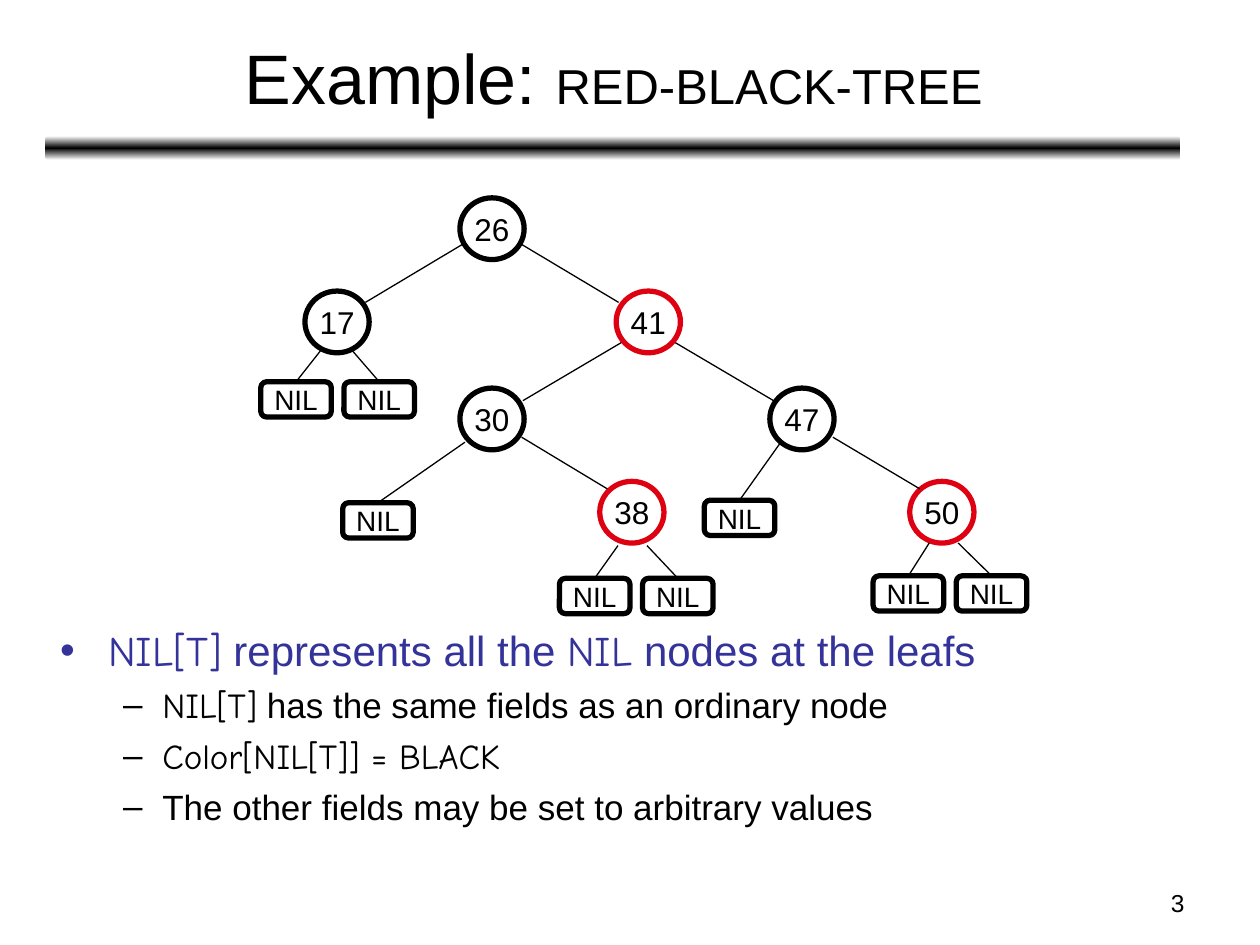
import copy
from dataclasses import dataclass

import lxml.etree
import pptx
import pptx.dml.color
import pptx.enum.shapes
import pptx.enum.text
import pptx.oxml.ns
import pptx.util

Inches, Pt = pptx.util.Inches, pptx.util.Pt
RGBColor = pptx.dml.color.RGBColor
SHAPE = pptx.enum.shapes.MSO_SHAPE
ALIGN = pptx.enum.text.PP_ALIGN
MIDDLE = pptx.enum.text.MSO_ANCHOR.MIDDLE
qn = pptx.oxml.ns.qn

BLACK = RGBColor(0x00, 0x00, 0x00)
WHITE = RGBColor(0xFF, 0xFF, 0xFF)
RED = RGBColor(0xDD, 0x01, 0x11)
BLUE = RGBColor(0x33, 0x33, 0x99)
SANS, COMIC = "Arial", "Comic Neue"

KEY_SIZE = (0.51, 0.49)
NIL_SIZE = (0.56, 0.28)
NIL_STEP = 0.66  # from one twin leaf to the next
TOP_SIDE = 0


@dataclass
class KeyNode:
    key: str
    left: float
    top: float
    color: RGBColor = BLACK


@dataclass
class NilLeaf:
    left: float
    top: float
    edge_start: tuple[float, float]


@dataclass
class Point:
    level: int
    color: RGBColor
    size: int
    runs: list[tuple[str, str]]


@dataclass
class Level:
    bullet: str
    margin: float
    hanging: float
    space_before: int


KEY_NODES = [
    KeyNode("26", 3.65, 1.57),
    KeyNode("17", 2.42, 2.31),
    KeyNode("41", 4.89, 2.31, RED),
    KeyNode("30", 3.65, 3.08),
    KeyNode("47", 6.11, 3.08),
    KeyNode("38", 4.76, 3.82, RED),
    KeyNode("50", 7.22, 3.82, RED),
]
KEY_EDGES = [
    ((3.67, 1.94), (2.90, 2.40)),
    ((4.14, 1.94), (4.91, 2.40)),
    ((4.93, 2.72), (4.15, 3.18)),
    ((5.36, 2.72), (6.14, 3.18)),
    ((4.14, 3.47), (4.82, 3.88)),
    ((6.61, 3.47), (7.30, 3.88)),
]
# Left and top of the first leaf in each pair, and the parent's centre
NIL_PAIRS = [(2.07, 3.03, 2.67), (4.44, 4.59, 5.02), (6.93, 4.57, 7.49)]
NIL_LEAVES = [
    NilLeaf(left + NIL_STEP * side, top, (parent + 0.23 * (side - 0.5), top - 0.26))
    for left, top, parent in NIL_PAIRS
    for side in (0, 1)
] + [NilLeaf(2.72, 3.99, (3.69, 3.51)), NilLeaf(5.59, 3.97, (6.19, 3.52))]

LEVELS = [Level("•", 0.38, 0.38, 6), Level("–", 0.81, 0.31, 5)]
POINTS = [
    Point(0, BLUE, 24, [("NIL[T]", COMIC), (" represents all the ", SANS),
                        ("NIL", COMIC), (" nodes at the leafs", SANS)]),
    Point(1, BLACK, 20, [("NIL[T]", COMIC),
                         (" has the same fields as an ordinary node", SANS)]),
    Point(1, BLACK, 20, [("Color[NIL[T]] = BLACK", COMIC)]),
    Point(1, BLACK, 20, [("The other fields may be set to arbitrary values", SANS)]),
]


def add_run(paragraph, text: str, size: int, face: str = SANS, color: RGBColor = BLACK) -> None:
    run = paragraph.add_run()
    run.text = text
    for name, value in {"name": face, "size": Pt(size)}.items():
        setattr(run.font, name, value)
    run.font.color.rgb = color


def add_node(slide, kind, box: tuple, label: str, size: int, outline: RGBColor):
    node = slide.shapes.add_shape(kind, *map(Inches, box))
    node.shadow.inherit = False
    node.fill.background()
    node.line.color.rgb = outline
    node.line.width = Pt(3)
    frame = node.text_frame
    for name, value in {"word_wrap": False, "vertical_anchor": MIDDLE}.items():
        setattr(frame, name, value)
    frame.paragraphs[0].alignment = ALIGN.CENTER
    add_run(frame.paragraphs[0], label, size)
    return node


def add_edge(slide, start: tuple, end: tuple):
    edge = slide.shapes.add_connector(
        pptx.enum.shapes.MSO_CONNECTOR.STRAIGHT, *map(Inches, (*start, *end)))
    edge.line.color.rgb = BLACK
    edge.line.width = Pt(0.75)
    lxml.etree.SubElement(edge._element.spPr, qn("a:effectLst"))
    return edge


def add_rule(slide) -> None:
    rule = slide.shapes.add_shape(
        SHAPE.ROUNDED_RECTANGLE, *map(Inches, (0.36, 1.08, 9.01, 0.19)))
    rule.shadow.inherit = False
    rule.line.fill.background()
    rule.fill.gradient()
    rule.fill.gradient_angle = 90
    stop_list = rule._element.spPr.find(".//" + qn("a:gsLst"))
    stop_list.insert(1, copy.deepcopy(stop_list[0]))
    for stop, position, color in zip(rule.fill.gradient_stops, (0, 0.5, 1), (WHITE, BLACK, WHITE)):
        stop.position = position
        stop.color.rgb = color


def add_point(paragraph, point: Point, first: bool) -> None:
    level = LEVELS[point.level]
    properties = paragraph._p.get_or_add_pPr()
    properties.set("marL", str(Inches(level.margin)))
    properties.set("indent", str(-Inches(level.hanging)))
    bullet_color = lxml.etree.SubElement(properties, qn("a:buClr"))
    lxml.etree.SubElement(bullet_color, qn("a:srgbClr"), val=str(point.color))
    lxml.etree.SubElement(properties, qn("a:buFont"), typeface=SANS)
    lxml.etree.SubElement(properties, qn("a:buChar"), char=level.bullet)
    paragraph.level = point.level
    if not first:
        paragraph.space_before = Pt(level.space_before)
    for text, face in point.runs:
        add_run(paragraph, text, point.size, face, point.color)


def main() -> None:
    deck = pptx.Presentation()
    deck.slide_width, deck.slide_height = Inches(10), Inches(7.5)
    slide = deck.slides.add_slide(deck.slide_layouts[5])

    # Title and the rule below it
    title = slide.shapes.title
    for name, value in {"left": 0.37, "top": 0.11, "width": 9, "height": 0.99}.items():
        setattr(title, name, Inches(value))
    title.text_frame.vertical_anchor = MIDDLE
    heading = title.text_frame.paragraphs[0]
    heading.alignment = ALIGN.CENTER
    add_run(heading, "Example: ", 40)
    add_run(heading, "RED-BLACK-TREE", 28)
    add_rule(slide)

    # Tree
    for node in KEY_NODES:
        add_node(slide, SHAPE.OVAL, (node.left, node.top, *KEY_SIZE), node.key, 18, node.color)
    for start, end in KEY_EDGES:
        add_edge(slide, start, end)
    for leaf in NIL_LEAVES:
        nil = add_node(slide, SHAPE.ROUNDED_RECTANGLE, (leaf.left, leaf.top, *NIL_SIZE),
                       "NIL", 16, BLACK)
        edge = add_edge(slide, leaf.edge_start, (leaf.left, leaf.top))
        edge.end_connect(nil, TOP_SIDE)

    # Points about the NIL nodes
    notes = slide.shapes.add_textbox(*map(Inches, (0.38, 4.91, 9.34, 2.36))).text_frame
    notes.word_wrap = True
    for index, point in enumerate(POINTS):
        paragraph = notes.add_paragraph() if index else notes.paragraphs[0]
        add_point(paragraph, point, first=index == 0)

    # Slide number
    number = slide.shapes.add_textbox(*map(Inches, (7.17, 7, 2.33, 0.35))).text_frame
    number.word_wrap = True
    number.paragraphs[0].alignment = ALIGN.RIGHT
    add_run(number.paragraphs[0], "3", 14)

    deck.save("out.pptx")


if __name__ == "__main__":
    main()
